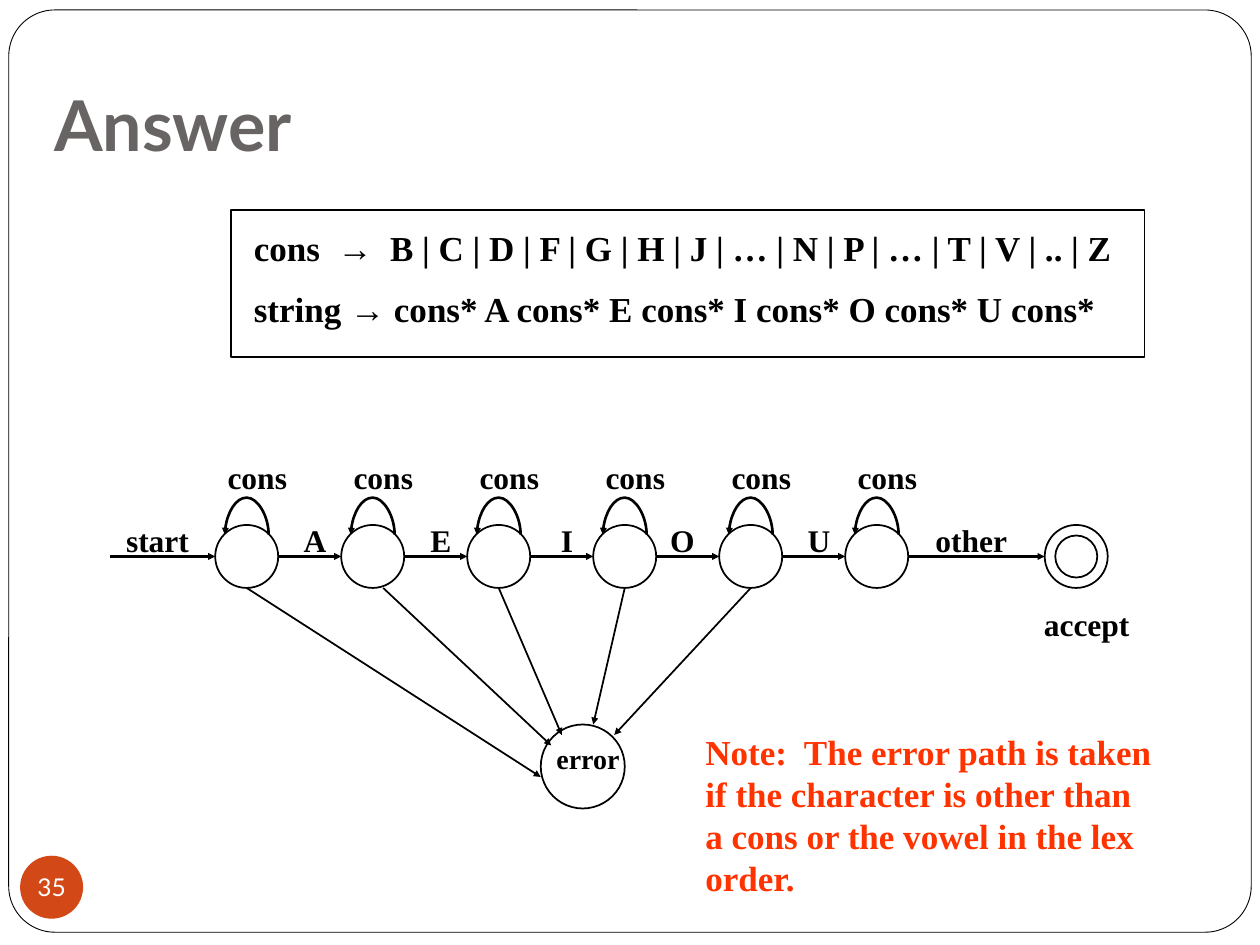
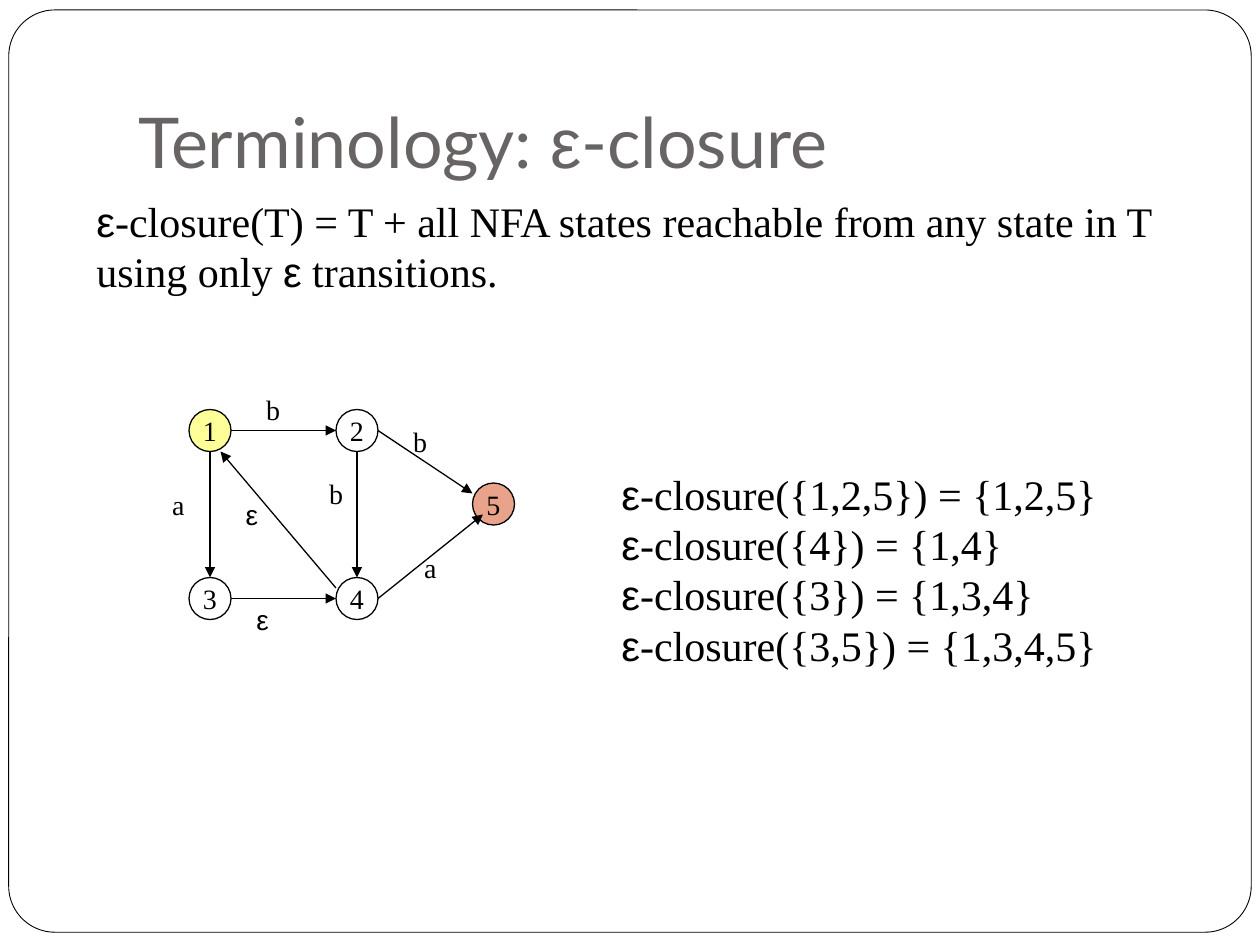
"""Builds two slides on finite automata and closures."""
from dataclasses import dataclass
from itertools import groupby
from typing import NamedTuple

from lxml.etree import SubElement
from pptx import Presentation
from pptx.dml.color import RGBColor
from pptx.enum.shapes import MSO_CONNECTOR, MSO_SHAPE
from pptx.enum.text import MSO_ANCHOR, PP_ALIGN
from pptx.oxml.ns import qn
from pptx.util import Pt


@dataclass(frozen=True)
class Theme:
    ink: str = "000000"
    paper: str = "FFFFFF"
    gray: str = "696464"
    rust: str = "D34817"
    red: str = "FF3300"
    yellow: str = "FFFF99"
    serif: str = "Times New Roman"
    sans: str = "Lato"
    greek: str = "Arial"
    title: float = 40
    body: float = 24
    note: float = 20
    label: float = 18
    small: float = 16
    page: float = 14


THEME = Theme()


class Box(NamedTuple):
    left: float
    top: float
    width: float
    height: float


class Style(NamedTuple):
    size: float
    color: str = THEME.ink
    font: str = THEME.serif
    bold: bool = False
    align: PP_ALIGN = PP_ALIGN.LEFT
    wrap: bool = True
    gap: float = 0


class Arrow(NamedTuple):
    start: tuple[float, float]
    end: tuple[float, float]
    width: float = 1


class Node(NamedTuple):
    text: str
    left: float
    top: float
    fill: str = THEME.paper
    alpha: int = 100


class Label(NamedTuple):
    text: str
    left: float
    top: float
    width: float


TITLE = Style(THEME.title, THEME.gray, THEME.sans)
BODY = Style(THEME.body)
NOTE = Style(THEME.note, bold=True, gap=11)
EDGE = Style(THEME.label, bold=True, align=PP_ALIGN.CENTER)
MARK = Style(THEME.small, align=PP_ALIGN.CENTER, wrap=False)
PAGE = Style(THEME.page, THEME.paper, THEME.sans, align=PP_ALIGN.CENTER, wrap=False)

STEP = 72
FIRST = 123
ROW = 300
SIZE = 36
MID = ROW + SIZE / 2
STATES = [FIRST + STEP * i for i in range(6)]
ACCEPT = 597

VOWELS = [
    Label("A", 165, 294, 30),
    Label("E", 237, 294, 30),
    Label("I", 309, 294, 30),
    Label("O", 375, 294, 30),
    Label("U", 453, 294, 30),
]
WORDS = [
    Label("start", 57, 294, 66),
    Label("other", 525, 294, 60),
    Label("accept", 585, 342, 72),
]
FAILS = [
    Arrow((141, 336), (309, 444)),
    Arrow((219, 336), (315, 426)),
    Arrow((285, 336), (321, 420)),
    Arrow((357, 336), (339, 414)),
    Arrow((429, 336), (351, 420)),
]

NODES = [
    Node("1", 108, 234, THEME.yellow),
    Node("5", 270, 276, THEME.rust, 50),
    Node("2", 192, 234),
    Node("4", 192, 330),
    Node("3", 108, 330),
]
EDGES = [
    Arrow((132, 246), (192, 246), 0.75),
    Arrow((204, 258), (204, 330), 0.75),
    Arrow((192, 336), (126, 258), 0.75),
    Arrow((120, 258), (120, 330), 0.75),
    Arrow((132, 342), (192, 342), 0.75),
    Arrow((216, 342), (276, 294), 0.75),
    Arrow((216, 246), (270, 282), 0.75),
]
MARKS = [
    Label("b", 145, 221, 22),
    Label("ε", 139, 340.5, 22),
    Label("a", 91, 275, 22),
    Label("ε", 133, 281, 22),
    Label("b", 181, 268.5, 22),
    Label("b", 229, 239, 22),
    Label("a", 235, 311, 22),
]


def place(box: Box) -> list[Pt]:
    """Turn a box into lengths."""
    return [Pt(side) for side in box]


def write(frame, lines: list[str], style: Style) -> None:
    """Fill a text frame, with Greek letters in their own font."""
    frame.word_wrap = style.wrap
    for i, line in enumerate(lines):
        para = frame.add_paragraph() if i else frame.paragraphs[0]
        para.alignment = style.align
        para.space_before = Pt(style.gap if i else 0)
        for greek, chars in groupby(line, lambda char: char == "ε"):
            run = para.add_run()
            run.text = "".join(chars)
            run.font.name = THEME.greek if greek else style.font
            run.font.size = Pt(style.size)
            run.font.bold = style.bold
            run.font.color.rgb = RGBColor.from_string(style.color)


def add_text(slide, box: Box, lines: list[str], style: Style):
    """Add a text box and return its frame."""
    frame = slide.shapes.add_textbox(*place(box)).text_frame
    write(frame, lines, style)
    return frame


def add_label(slide, label: Label, style: Style) -> None:
    """Add a one-line label."""
    box = Box(label.left, label.top, label.width, style.size * 1.2 + 7.2)
    add_text(slide, box, [label.text], style)


def add_form(slide, kind: MSO_SHAPE, box: Box, fill: str = "", line: float = 1):
    """Add a flat shape; no fill or line if none is given."""
    shape = slide.shapes.add_shape(kind, *place(box))
    shape.shadow.inherit = False
    if fill:
        shape.fill.solid()
        shape.fill.fore_color.rgb = RGBColor.from_string(fill)
    else:
        shape.fill.background()
    if line:
        shape.line.color.rgb = RGBColor.from_string(THEME.ink)
        shape.line.width = Pt(line)
    else:
        shape.line.fill.background()
    return shape


def add_disc(slide, left: float, top: float, size: float, fill: str = "", line: float = 1):
    """Add a circle."""
    return add_form(slide, MSO_SHAPE.OVAL, Box(left, top, size, size), fill, line)


def centre(shape, text: str, style: Style, inset: float) -> None:
    """Write text in the middle of a shape."""
    frame = shape.text_frame
    frame.margin_left = frame.margin_right = Pt(inset)
    frame.margin_top = frame.margin_bottom = Pt(inset / 2)
    frame.vertical_anchor = MSO_ANCHOR.MIDDLE
    write(frame, [text], style)


def add_arrow(slide, arrow: Arrow, head: str, kind=MSO_CONNECTOR.STRAIGHT):
    """Add a line with an arrowhead at its end."""
    ends = [Pt(value) for value in (*arrow.start, *arrow.end)]
    link = slide.shapes.add_connector(kind, *ends)
    link.line.color.rgb = RGBColor.from_string(THEME.ink)
    link.line.width = Pt(arrow.width)
    SubElement(link.line._get_or_add_ln(), qn("a:tailEnd"), type="triangle", w=head, len=head)
    SubElement(link._element.spPr, qn("a:effectLst"))
    return link


def add_loop(slide, left: float) -> None:
    """Add a curved arrow from a state back to itself."""
    mid, top, thin = left + SIZE / 2, 293, 0.125
    arrow = Arrow((mid, top), (mid + thin, top + 25), 1.5)
    props = add_arrow(slide, arrow, "sm", MSO_CONNECTOR.CURVE)._element.spPr
    form = props.find(qn("a:xfrm"))
    for key, value in (("rot", "16200000"), ("flipH", "1"), ("flipV", "1")):
        form.set(key, value)
    guides = props.find(qn("a:prstGeom")).find(qn("a:avLst"))
    SubElement(guides, qn("a:gd"), name="adj1", fmla="val -18600000")


def add_page(deck, title: str, box: Box, style: Style):
    """Add a slide with its frame and title."""
    slide = deck.slides.add_slide(deck.slide_layouts[6])
    edge = Box(5, 5.7, 710, 527)
    border = add_form(slide, MSO_SHAPE.ROUNDED_RECTANGLE, edge, THEME.paper, 0.5)
    border.adjustments[0] = 0.05
    frame = add_text(slide, box, [title], style)
    frame.vertical_anchor = MSO_ANCHOR.BOTTOM
    frame.margin_bottom = Pt(7.2)
    return slide


def draw_answer(deck) -> None:
    """Draw the automaton for ordered vowels."""
    slide = add_page(deck, "Answer", Box(24, 12, 600, 90), TITLE._replace(bold=True))
    badge = add_disc(slide, 11.5, 489, SIZE, THEME.rust, 0)
    centre(badge, "35", PAGE, 0)
    rules = [
        "cons  →  B | C | D | F | G | H | J | … | N | P | … | T | V | .. | Z",
        "string → cons* A cons* E cons* I cons* O cons* U cons*",
    ]
    add_text(slide, Box(138, 126, 510, 67), rules, NOTE)
    add_form(slide, MSO_SHAPE.RECTANGLE, Box(132, 120, 522, 84))

    add_arrow(slide, Arrow((63, MID), (FIRST, MID), 2), "sm")
    add_disc(slide, ACCEPT, ROW, SIZE)
    add_disc(slide, ACCEPT + 6, ROW + 6, SIZE - 12)
    for left, right in zip(STATES, STATES[1:] + [ACCEPT]):
        add_disc(slide, left, ROW, SIZE)
        add_arrow(slide, Arrow((left + SIZE, MID), (right, MID), 2), "sm")
        add_loop(slide, left)
        add_label(slide, Label("cons", left - 6, 258, 60), EDGE)
    for label in VOWELS + WORDS:
        add_label(slide, label, EDGE)

    add_disc(slide, 309, 414, 48)
    add_label(slide, Label("error", 303, 420, 66), EDGE._replace(size=THEME.small))
    for arrow in FAILS:
        add_arrow(slide, arrow, "sm")
    note = (
        "Note:  The error path is taken if the character is other than "
        "a cons or the vowel in the lex order."
    )
    add_text(slide, Box(396, 414, 270, 103), [note], NOTE._replace(color=THEME.red))


def draw_terms(deck) -> None:
    """Draw the closure rule with a sample graph."""
    slide = add_page(deck, "Terminology: ε-closure", Box(72, 21.6, 612, 90), TITLE)
    rule = (
        "ε-closure(T) = T + all NFA states reachable from any state in T "
        "using only ε transitions."
    )
    add_text(slide, Box(48, 108, 636, 65), [rule], BODY)
    for node in NODES:
        disc = add_disc(slide, node.left, node.top, 24, node.fill, 0.75)
        centre(disc, node.text, MARK, 7.2)
        if node.alpha < 100:
            color = disc._element.spPr.find(qn("a:solidFill"))[0]
            SubElement(color, qn("a:alpha"), val=str(node.alpha * 1000))
    for arrow in EDGES:
        add_arrow(slide, arrow, "med")
    for label in MARKS:
        add_label(slide, label, MARK)
    pairs = [("1,2,5", "1,2,5"), ("4", "1,4"), ("3", "1,3,4"), ("3,5", "1,3,4,5")]
    lines = [f"ε-closure({{{given}}}) = {{{found}}}" for given, found in pairs]
    add_text(slide, Box(348, 264, 300, 122), lines, BODY)


def main() -> None:
    """Build and save the deck."""
    deck = Presentation()
    deck.slide_width, deck.slide_height = Pt(720), Pt(540)
    draw_answer(deck)
    draw_terms(deck)
    deck.save("out.pptx")


if __name__ == "__main__":
    main()
